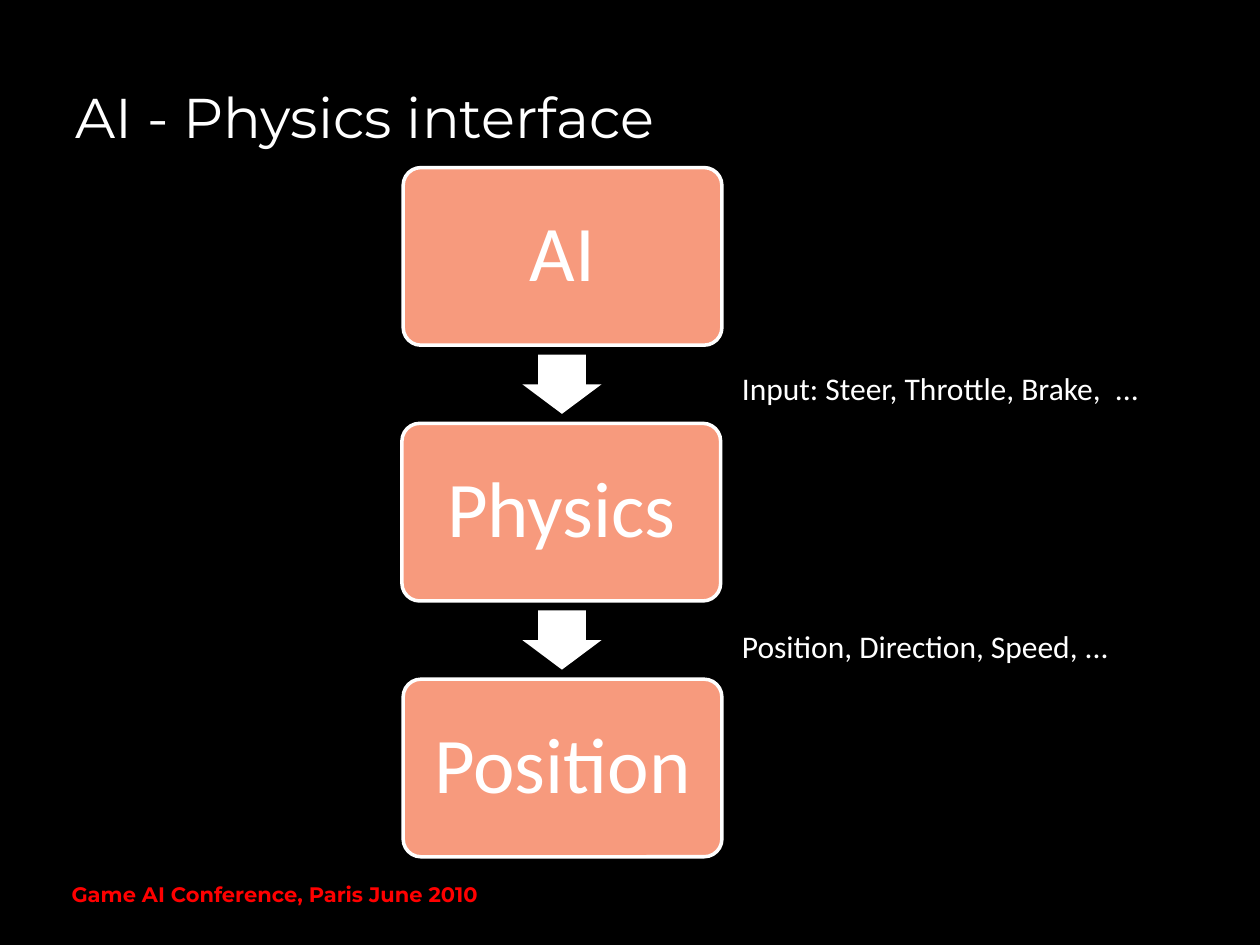
from dataclasses import dataclass

from pptx import Presentation
from pptx.dml.color import RGBColor
from pptx.enum.shapes import MSO_SHAPE
from pptx.enum.text import MSO_ANCHOR, PP_ALIGN
from pptx.util import Inches, Pt

ROUNDED = MSO_SHAPE.ROUNDED_RECTANGLE
ARROW = MSO_SHAPE.RIGHT_ARROW
TOP, MIDDLE = MSO_ANCHOR.TOP, MSO_ANCHOR.MIDDLE
LEFT, CENTER = PP_ALIGN.LEFT, PP_ALIGN.CENTER


@dataclass(frozen=True)
class Theme:
    background: RGBColor = RGBColor(0x00, 0x00, 0x00)
    light: RGBColor = RGBColor(0xFF, 0xFF, 0xFF)
    box: RGBColor = RGBColor(0xF7, 0x9A, 0x7D)
    footer: RGBColor = RGBColor(0xFF, 0x00, 0x00)
    heading_font: str = "Montserrat"
    body_font: str = "Calibri"
    title_size: int = 32
    box_size: int = 45
    label_size: int = 18
    footer_size: int = 12


THEME = Theme()

TITLE = "AI - Physics interface"
FOOTER = "Game AI Conference, Paris June 2010"
STAGES = [("AI", 3.2), ("Physics", 3.19), ("Position", 3.2)]
LABELS = [
    ("Input: Steer, Throttle, Brake,  ...", 2.88, 3.39, True),
    ("Position, Direction, Speed, ...", 4.93, 3.13, False),
]

BOX_WIDTH, BOX_HEIGHT = 2.53, 1.41
STAGE_TOP, STAGE_STEP = 1.33, 2.03
ARROW_LENGTH, ARROW_WIDTH = 0.47, 0.63
ARROW_CENTER = 4.46
LABEL_LEFT, LABEL_HEIGHT = 5.79, 0.4


def write(shape, text, font_name, size, color, bold=False, align=LEFT, anchor=TOP, wrap=True):
    frame = shape.text_frame
    frame.word_wrap = wrap
    frame.vertical_anchor = anchor
    paragraph = frame.paragraphs[0]
    paragraph.text = text
    paragraph.alignment = align
    paragraph.font.name = font_name
    paragraph.font.size = Pt(size)
    paragraph.font.color.rgb = color
    paragraph.font.bold = bold
    return paragraph


def add_text(slide, box, *args, **options):
    shape = slide.shapes.add_textbox(*map(Inches, box))
    write(shape, *args, **options)


def add_filled(slide, kind, box, color, adjustments):
    shape = slide.shapes.add_shape(kind, *map(Inches, box))
    shape.shadow.inherit = False
    shape.fill.solid()
    shape.fill.fore_color.rgb = color
    for index, value in enumerate(adjustments):
        shape.adjustments[index] = value
    return shape


def add_stage(slide, text, left, top):
    shape = add_filled(slide, ROUNDED, (left, top, BOX_WIDTH, BOX_HEIGHT), THEME.box, [0.1])
    shape.line.color.rgb = THEME.light
    shape.line.width = Pt(2)
    paragraph = write(shape, text, THEME.body_font, THEME.box_size, THEME.light,
                      align=CENTER, anchor=MIDDLE)
    paragraph.line_spacing = 0.9


def add_down_arrow(slide, center_y):
    box = (ARROW_CENTER - ARROW_LENGTH / 2, center_y - ARROW_WIDTH / 2,
           ARROW_LENGTH, ARROW_WIDTH)
    shape = add_filled(slide, ARROW, box, THEME.light, [0.6, 0.5])
    shape.line.fill.background()
    shape.rotation = 90


def main():
    presentation = Presentation()
    presentation.slide_width = Inches(10)
    presentation.slide_height = Inches(7.5)
    slide = presentation.slides.add_slide(presentation.slide_layouts[6])
    slide.background.fill.solid()
    slide.background.fill.fore_color.rgb = THEME.background

    add_text(slide, (0.5, 0.3, 8.09, 1.25), TITLE, THEME.heading_font,
             THEME.title_size, THEME.light, anchor=MIDDLE)

    for index, (text, left) in enumerate(STAGES):
        top = STAGE_TOP + index * STAGE_STEP
        if index:
            add_down_arrow(slide, top - (STAGE_STEP - BOX_HEIGHT) / 2)
        add_stage(slide, text, left, top)

    for text, top, width, wrap in LABELS:
        add_text(slide, (LABEL_LEFT, top, width, LABEL_HEIGHT), text, THEME.body_font,
                 THEME.label_size, THEME.light, wrap=wrap)

    add_text(slide, (0.47, 6.95, 5.23, 0.4), FOOTER, THEME.heading_font,
             THEME.footer_size, THEME.footer, bold=True)

    presentation.save("out.pptx")


if __name__ == "__main__":
    main()
